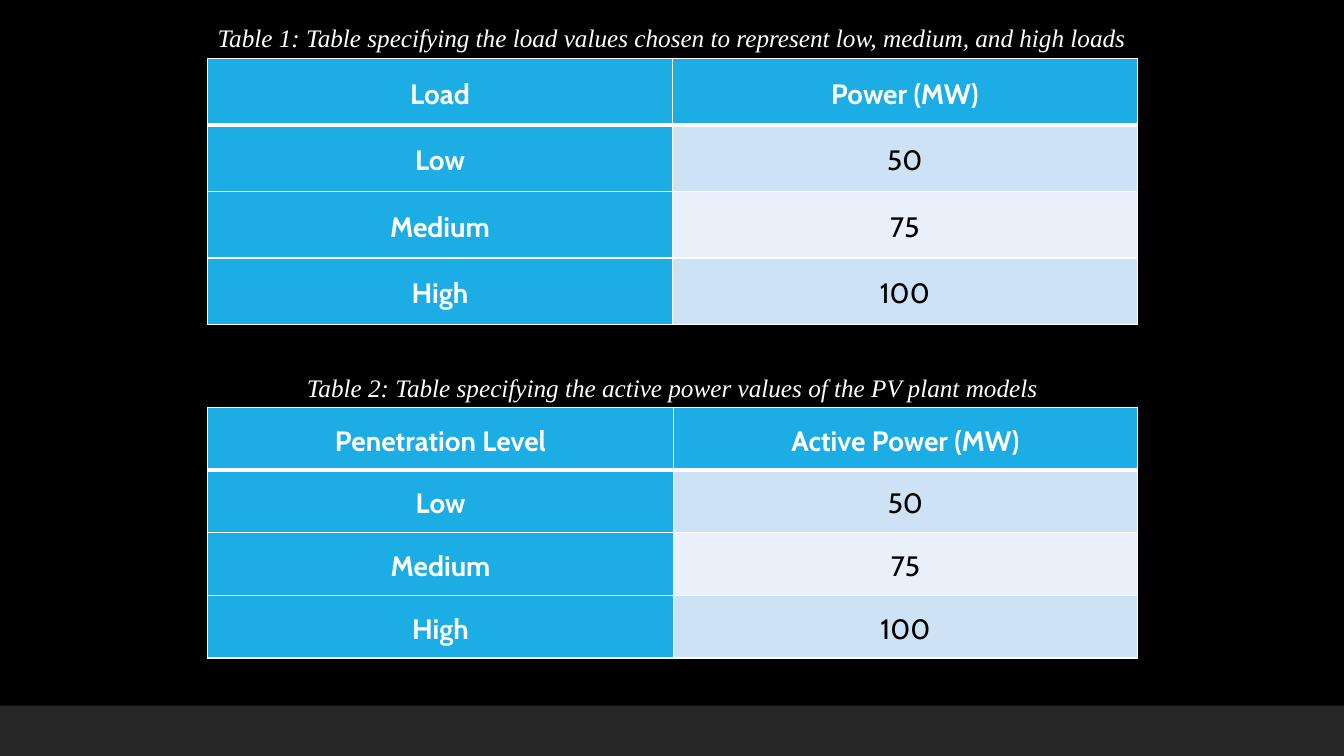
from lxml.etree import SubElement
from pptx import Presentation
from pptx.dml.color import RGBColor
from pptx.enum.shapes import MSO_SHAPE
from pptx.enum.text import MSO_ANCHOR, PP_ALIGN
from pptx.oxml.ns import qn
from pptx.util import Pt

BLACK = RGBColor(0x00, 0x00, 0x00)
WHITE = RGBColor(0xFF, 0xFF, 0xFF)
CHARCOAL = RGBColor(0x26, 0x26, 0x26)
BLUE = RGBColor(0x1C, 0xAD, 0xE4)
BAND_DARK = RGBColor(0xCD, 0xE3, 0xF5)
BAND_LIGHT = RGBColor(0xE8, 0xF1, 0xFA)

SLIDE_WIDTH, SLIDE_HEIGHT = 960, 540
FOOTER_HEIGHT = 36
CONTENT_LEFT = 148.3
CONTENT_WIDTH = 664
CAPTION_HEIGHT = 29

CAPTION_FONT = {"name": "Times New Roman", "size": Pt(18), "italic": True}
HEADING_FONT = {"name": "Cabin", "size": Pt(20), "bold": True}
VALUE_FONT = {"name": "Cabin", "size": Pt(20), "bold": False}
CELL_FORMAT = {
    "vertical_anchor": MSO_ANCHOR.MIDDLE,
    "margin_left": Pt(4.5),
    "margin_right": Pt(4.5),
    "margin_top": Pt(0),
    "margin_bottom": Pt(0),
}


def set_attributes(target, values):
    for name, value in values.items():
        setattr(target, name, value)


def format_font(font, values, color):
    set_attributes(font, values)
    font.color.rgb = color


def add_footer_band(slide):
    band = slide.shapes.add_shape(
        MSO_SHAPE.RECTANGLE, Pt(0), Pt(SLIDE_HEIGHT - FOOTER_HEIGHT),
        Pt(SLIDE_WIDTH), Pt(FOOTER_HEIGHT))
    band.shadow.inherit = False
    band.fill.solid()
    band.fill.fore_color.rgb = CHARCOAL
    band.line.fill.background()


def add_caption(slide, text, top, width, alignment):
    caption = slide.shapes.add_textbox(
        Pt(CONTENT_LEFT), Pt(top), Pt(width), Pt(CAPTION_HEIGHT))
    caption.text_frame.word_wrap = True
    paragraph = caption.text_frame.paragraphs[0]
    paragraph.text = text
    paragraph.alignment = alignment
    format_font(paragraph.font, CAPTION_FONT, WHITE)


def add_borders(cell, widths):
    """Draw white borders; widths maps each side (L, R, T, B) to points."""
    properties = cell._tc.get_or_add_tcPr()
    for side, width in widths.items():
        line = SubElement(properties, qn(f"a:ln{side}"), w=str(Pt(width)))
        fill = SubElement(line, qn("a:solidFill"))
        SubElement(fill, qn("a:srgbClr"), val=str(WHITE))


def fill_cell(cell, text, row, column):
    is_heading = row == 0 or column == 0
    # The rule under the header row is heavier than the others.
    add_borders(cell, {"L": 1, "R": 1, "T": 3 if row == 1 else 1,
                       "B": 3 if row == 0 else 1})
    set_attributes(cell, CELL_FORMAT)
    cell.fill.solid()
    band_color = BAND_DARK if row % 2 else BAND_LIGHT
    cell.fill.fore_color.rgb = BLUE if is_heading else band_color
    paragraph = cell.text_frame.paragraphs[0]
    paragraph.text = text
    set_attributes(paragraph, {"alignment": PP_ALIGN.CENTER, "line_spacing": 1.15})
    format_font(paragraph.font, HEADING_FONT if is_heading else VALUE_FONT,
                WHITE if is_heading else BLACK)


def add_power_table(slide, rows, top, row_height, column_widths):
    table = slide.shapes.add_table(
        len(rows), len(column_widths), Pt(CONTENT_LEFT), Pt(top),
        Pt(sum(column_widths)), Pt(row_height * len(rows))).table
    for column, width in zip(table.columns, column_widths):
        column.width = Pt(width)
    for row_index, values in enumerate(rows):
        table.rows[row_index].height = Pt(row_height)
        for column_index, text in enumerate(values):
            fill_cell(table.cell(row_index, column_index), text,
                      row_index, column_index)


def main():
    presentation = Presentation()
    presentation.slide_width = Pt(SLIDE_WIDTH)
    presentation.slide_height = Pt(SLIDE_HEIGHT)
    slide = presentation.slides.add_slide(presentation.slide_layouts[6])
    slide.background.fill.solid()
    slide.background.fill.fore_color.rgb = BLACK

    levels = [("Low", "50"), ("Medium", "75"), ("High", "100")]
    add_footer_band(slide)
    add_power_table(slide, [("Penetration Level", "Active Power (MW)")] + levels,
                    290.9, 44.8, (332.8, 331.2))
    add_power_table(slide, [("Load", "Power (MW)")] + levels,
                    41.6, 47.55, (332, 332))
    add_caption(slide, "Table 1: Table specifying the load values chosen to "
                "represent low, medium, and high loads", 12.4, 692, PP_ALIGN.LEFT)
    add_caption(slide, "Table 2: Table specifying the active power values of "
                "the PV plant models", 262.1, CONTENT_WIDTH, PP_ALIGN.CENTER)
    presentation.save("out.pptx")


if __name__ == "__main__":
    main()
